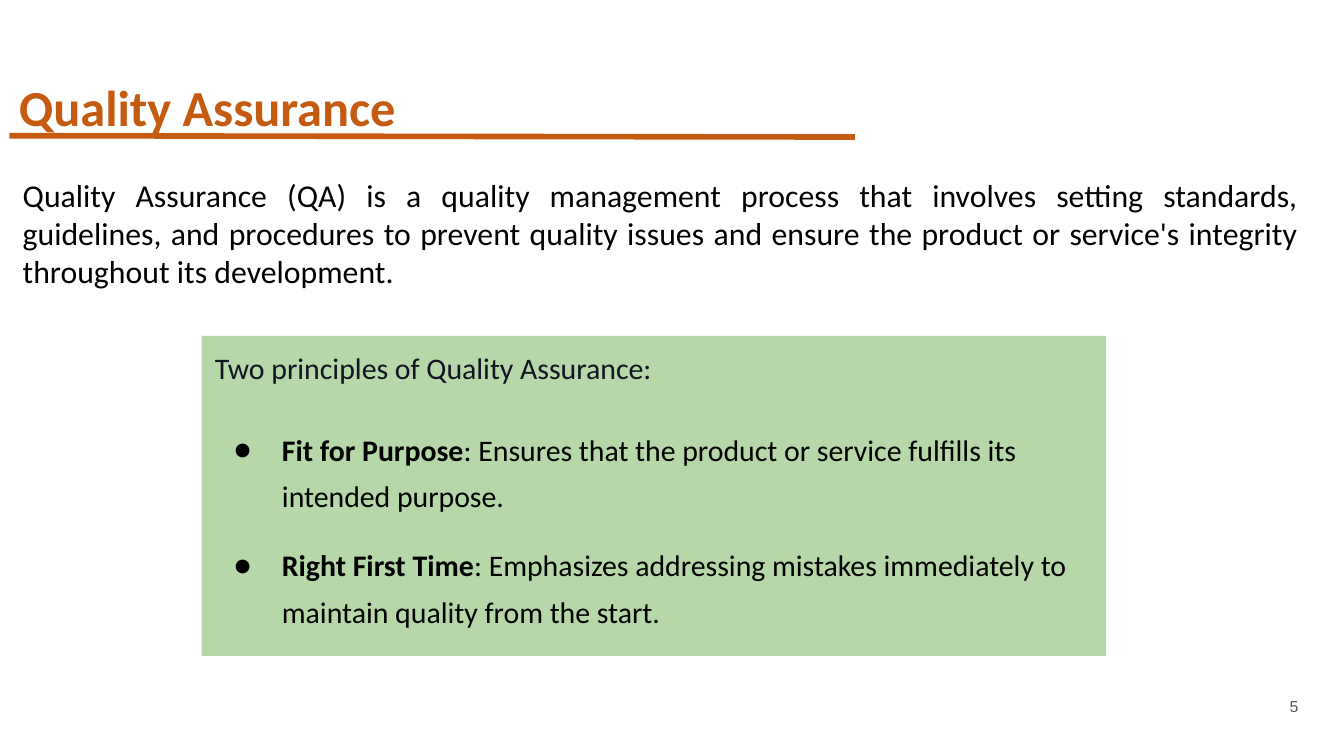
from lxml.etree import SubElement
from pptx import Presentation
from pptx.dml.color import RGBColor
from pptx.enum.shapes import MSO_CONNECTOR, MSO_SHAPE
from pptx.enum.text import MSO_ANCHOR, PP_ALIGN
from pptx.oxml.ns import qn
from pptx.util import Inches, Pt

ORANGE = RGBColor(0xC5, 0x5A, 0x11)
GREEN = RGBColor(0xB6, 0xD7, 0xA8)
BLACK = RGBColor(0, 0, 0)
NAVY = RGBColor(0x10, 0x14, 0x23)
GRAY = RGBColor(0x59, 0x59, 0x59)

INTRO = (
    "Quality Assurance (QA) is a quality management process that involves "
    "setting standards, guidelines, and procedures to prevent quality issues "
    "and ensure the product or service's integrity throughout its development."
)
HEADING = "Two principles of Quality Assurance:"
POINTS = [
    ("Fit for Purpose",
     ": Ensures that the product or service fulfills its intended purpose.", 19),
    ("Right First Time",
     ": Emphasizes addressing mistakes immediately to maintain quality from the start.", 12),
]


def set_frame(shape, side=0.1, edge=0.1, anchor=MSO_ANCHOR.TOP):
    frame = shape.text_frame
    frame.word_wrap = True
    frame.margin_left = frame.margin_right = Inches(side)
    frame.margin_top = frame.margin_bottom = Inches(edge)
    frame.vertical_anchor = anchor
    return frame


def style(para, size, color, name="Calibri", align=PP_ALIGN.LEFT):
    para.alignment = align
    font = para.font
    font.name, font.size, font.color.rgb = name, Pt(size), color


def add_bullet(para, size):
    """Give the paragraph a black dot with a hanging indent."""
    props = para._p.get_or_add_pPr()
    props.set("marL", str(Inches(0.5)))
    props.set("indent", str(Inches(-0.36)))
    tint = SubElement(props, qn("a:buClr"))
    SubElement(tint, qn("a:srgbClr")).set("val", str(BLACK))
    SubElement(props, qn("a:buSzPts")).set("val", str(size * 100))
    SubElement(props, qn("a:buFont")).set("typeface", "Calibri")
    SubElement(props, qn("a:buChar")).set("char", "●")
    # The schema wants bullet marks ahead of the default run properties.
    props.append(props.find(qn("a:defRPr")))


def add_title(slide, left, top, width, height):
    box = slide.shapes.add_textbox(left, top, width, height)
    para = set_frame(box, 0.07, 0.04).paragraphs[0]
    para.text = "Quality Assurance"
    style(para, 27, ORANGE)
    para.font.bold = True

    rule_top = top + Inches(0.48)
    rule = slide.shapes.add_connector(
        MSO_CONNECTOR.STRAIGHT, left, rule_top,
        left + Inches(6.29), rule_top + Inches(0.01))
    rule.line.color.rgb = ORANGE
    rule.line.width = Pt(3)
    SubElement(rule._element.spPr, qn("a:effectLst"))


def add_intro(slide, left, top, width, height):
    box = slide.shapes.add_textbox(left, top, width, height)
    para = set_frame(box).paragraphs[0]
    para.text = INTRO
    style(para, 17, BLACK, align=PP_ALIGN.JUSTIFY)


def add_panel(slide, left, top, width, height):
    panel = slide.shapes.add_shape(MSO_SHAPE.RECTANGLE, left, top, width, height)
    panel.shadow.inherit = False
    panel.fill.solid()
    panel.fill.fore_color.rgb = GREEN
    panel.line.fill.background()
    frame = set_frame(panel)
    para = frame.paragraphs[0]
    para.text = HEADING
    size = 16
    style(para, size, NAVY)
    for term, detail, gap in POINTS:
        para = frame.add_paragraph()
        style(para, size, BLACK)
        para.line_spacing = 1.3
        para.space_before = Pt(gap)
        add_bullet(para, size)
        for text, bold in ((term, True), (detail, False)):
            run = para.add_run()
            run.text = text
            run.font.bold = bold


def add_number(slide, left, top, width, height):
    box = slide.shapes.add_textbox(left, top, width, height)
    para = set_frame(box, anchor=MSO_ANCHOR.MIDDLE).paragraphs[0]
    para.text = "5"
    para.line_spacing = 0.8
    style(para, 8.5, GRAY, "Arial", PP_ALIGN.RIGHT)


def main():
    deck = Presentation()
    deck.slide_width = Inches(10)
    deck.slide_height = deck.slide_width * 9 // 16
    slide = deck.slides.add_slide(deck.slide_layouts[6])
    for add, box in (
        (add_number, (9.31, 5.11, 0.45, 0.32)),
        (add_title, (0.07, 0.53, 6.26, 0.37)),
        (add_intro, (0.07, 1.21, 9.69, 2.2)),
        (add_panel, (1.5, 2.5, 6.73, 2.38)),
    ):
        add(slide, *map(Inches, box))
    deck.save("out.pptx")


if __name__ == "__main__":
    main()
